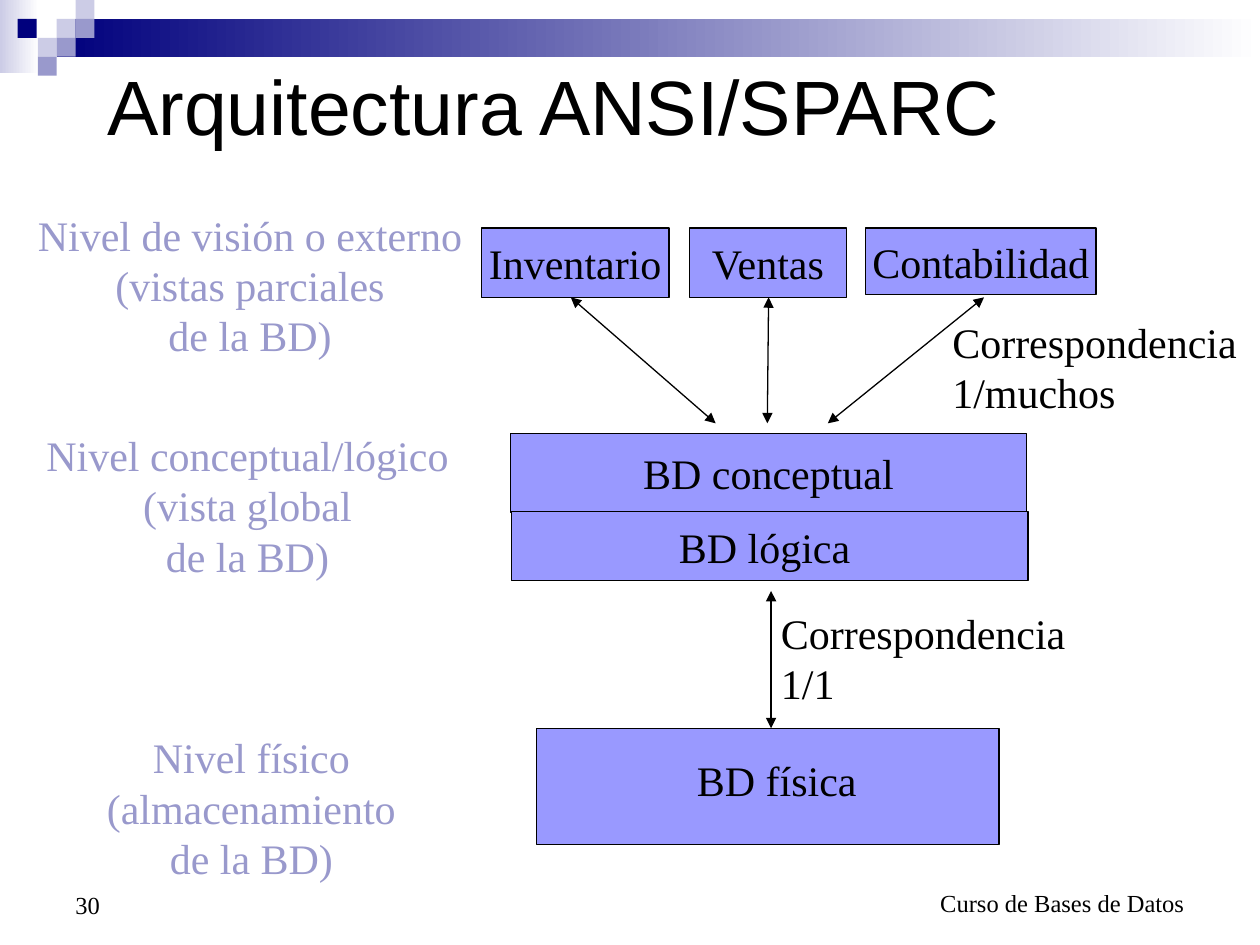
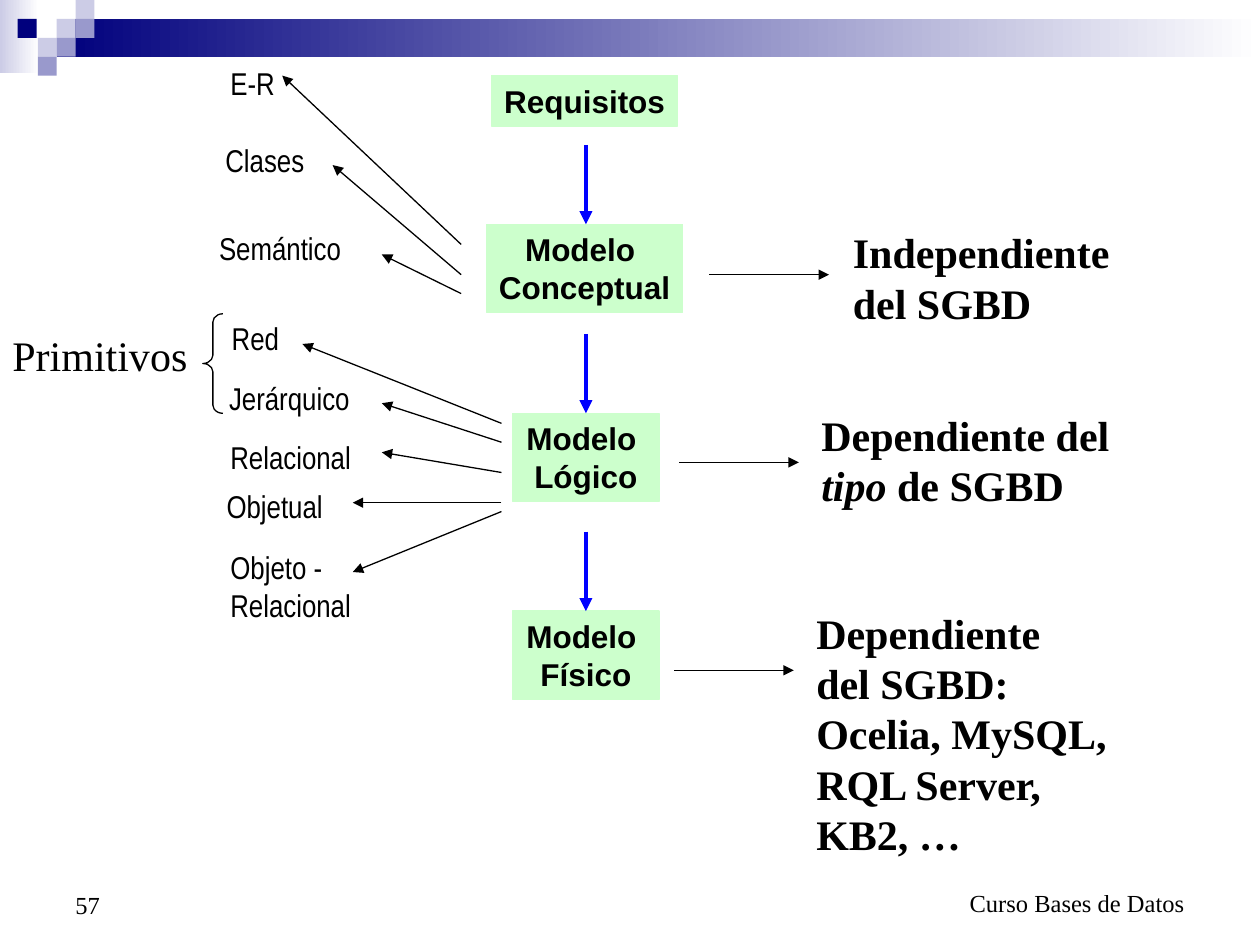
from dataclasses import dataclass
from typing import Optional

from lxml.etree import SubElement
from pptx import Presentation
from pptx.dml.color import RGBColor as Rgb
from pptx.enum.shapes import MSO_CONNECTOR as Link, MSO_SHAPE as Kind
from pptx.enum.text import MSO_ANCHOR as Anchor, MSO_AUTO_SIZE as Fit, PP_ALIGN as Align
from pptx.oxml.ns import qn
from pptx.util import Emu, Pt

SCALE = 9144


@dataclass(frozen=True)
class Theme:
    ink: str = "000000"
    white: str = "FFFFFF"
    navy: str = "00007D"
    lilac: str = "9999CC"
    pale: str = "CCCCE6"
    violet: str = "9999FF"
    mint: str = "CCFFCC"
    blue: str = "0000FF"
    serif: str = "Times New Roman"
    sans: str = "Arial"
    narrow: str = "Arial Narrow"
    title: int = 44
    body: int = 24
    label: int = 18
    foot: int = 14
    thin: float = 0.75
    thick: float = 2.5


T = Theme()


@dataclass(frozen=True)
class Area:
    left: int
    top: int
    width: int
    height: int

    def emu(self) -> list[Emu]:
        return [px(n) for n in (self.left, self.top, self.width, self.height)]


@dataclass(frozen=True)
class Box:
    text: str
    area: Area


@dataclass(frozen=True)
class Arrow:
    x1: int
    y1: int
    x2: int
    y2: int


def px(n: int) -> Emu:
    return Emu(n * SCALE)


def write(frame, text: str, *, size: int = T.body, font: str = T.serif,
          color: str = T.ink, bold: bool = False, align=Align.LEFT,
          anchor=Anchor.TOP, wrap: bool = False, grow: bool = False) -> None:
    frame.word_wrap = wrap
    frame.vertical_anchor = anchor
    frame.auto_size = Fit.SHAPE_TO_FIT_TEXT if grow else Fit.NONE
    for i, line in enumerate(text.split("\n")):
        para = frame.add_paragraph() if i else frame.paragraphs[0]
        para.alignment = align
        for k, part in enumerate(line.split("*")):
            if not part:
                continue
            run = para.add_run()
            run.text = part
            run.font.size = Pt(size)
            run.font.name = font
            run.font.bold = bold
            run.font.italic = k % 2 == 1
            run.font.color.rgb = Rgb.from_string(color)


def label(slide, box: Box, *, grow: bool = True, **style) -> None:
    write(slide.shapes.add_textbox(*box.area.emu()).text_frame, box.text, grow=grow, **style)


def panel(slide, area: Area, fill: str, *, line: Optional[str] = None,
          fade: bool = False, kind=Kind.RECTANGLE):
    shape = slide.shapes.add_shape(kind, *area.emu())
    shape.shadow.inherit = False
    if fade:
        shape.fill.gradient()
        shape.fill.gradient_angle = 0
        for stop, tone, place in zip(shape.fill.gradient_stops, (fill, T.white), (0, 1)):
            stop.color.rgb = Rgb.from_string(tone)
            stop.position = place
    else:
        shape.fill.solid()
        shape.fill.fore_color.rgb = Rgb.from_string(fill)
    if line:
        shape.line.color.rgb = Rgb.from_string(line)
        shape.line.width = Pt(T.thin)
    else:
        shape.line.fill.background()
    return shape


def join(slide, way: Arrow, *, color: str = T.ink, width: float = T.thin,
         both: bool = False) -> None:
    ends = [px(n) for n in (way.x1, way.y1, way.x2, way.y2)]
    wire = slide.shapes.add_connector(Link.STRAIGHT, *ends)
    wire.line.color.rgb = Rgb.from_string(color)
    wire.line.width = Pt(width)
    stroke = wire.line._get_or_add_ln()
    for tag in (["a:headEnd"] if both else []) + ["a:tailEnd"]:
        SubElement(stroke, qn(tag), type="triangle")
    SubElement(wire._element.spPr, qn("a:effectLst"))


def frame(deck, layout: int, course: str, page: str):
    slide = deck.slides.add_slide(deck.slide_layouts[layout])
    panel(slide, Area(0, 0, 31, 58), T.pale, fade=True)
    panel(slide, Area(45, 15, 955, 30), T.navy, fade=True)
    tiles = ((45, 15, T.pale), (60, 0, T.pale), (60, 15, T.lilac), (30, 30, T.pale),
             (14, 15, T.navy), (45, 30, T.lilac), (30, 45, T.lilac))
    for x, y, tone in tiles:
        panel(slide, Area(x, y, 15, 15), tone)
    foot = dict(size=T.foot, anchor=Anchor.BOTTOM, wrap=True, grow=False)
    label(slide, Box(course, Area(717, 683, 233, 50)), align=Align.RIGHT, **foot)
    label(slide, Box(page, Area(50, 683, 233, 52)), **foot)
    return slide


def levels(deck) -> None:
    slide = frame(deck, 5, "Curso de Bases de Datos", "30")
    title = slide.shapes.title
    title.left, title.top, title.width, title.height = Area(75, 21, 850, 125).emu()
    write(title.text_frame, "Arquitectura ANSI/SPARC", size=T.title, font=T.sans,
          anchor=Anchor.MIDDLE, wrap=True)

    stores = (
        Box("Inventario", Area(382, 181, 149, 55)),
        Box("Ventas", Area(547, 181, 125, 55)),
        Box("Contabilidad", Area(687, 181, 183, 53)),
        Box("BD conceptual", Area(405, 344, 410, 63)),
        Box("BD lógica ", Area(406, 406, 410, 55)),
    )
    for box in stores:
        shape = panel(slide, box.area, T.violet, line=T.ink)
        write(shape.text_frame, box.text, align=Align.CENTER, anchor=Anchor.MIDDLE)
    panel(slide, Area(426, 578, 367, 92), T.violet, line=T.ink)
    label(slide, Box("BD física", Area(543, 594, 147, 50)), align=Align.CENTER)

    for way in (Arrow(453, 236, 568, 336), Arrow(610, 236, 609, 336),
                Arrow(781, 236, 657, 336), Arrow(612, 469, 612, 578)):
        join(slide, way, both=True)

    tiers = (
        Box("Nivel de visión o externo\n(vistas parciales\nde la BD)", Area(18, 161, 361, 130)),
        Box("Nivel conceptual/lógico\n(vista global\nde la BD)", Area(25, 336, 343, 130)),
        Box("Nivel físico\n(almacenamiento\nde la BD)", Area(69, 576, 261, 130)),
    )
    for box in tiers:
        label(slide, box, color=T.lilac, align=Align.CENTER)
    for box in (Box("Correspondencia 1/1", Area(610, 477, 260, 90)),
                Box("Correspondencia 1/muchos", Area(746, 246, 260, 90))):
        label(slide, box, wrap=True)


def models(deck) -> None:
    slide = frame(deck, 6, "Curso Bases de Datos", "57")
    steps = (
        Box("Requisitos", Area(390, 60, 148, 40)),
        Box("Modelo \nConceptual", Area(386, 178, 156, 70)),
        Box("Modelo \nLógico", Area(407, 328, 116, 70)),
        Box("Modelo \nFísico", Area(407, 485, 116, 70)),
    )
    for box in steps:
        shape = panel(slide, box.area, T.mint, line=T.mint)
        write(shape.text_frame, box.text, size=T.label, font=T.sans, bold=True,
              align=Align.CENTER, grow=True)
    for box in steps[1:]:
        top = box.area.top
        join(slide, Arrow(465, top - 63, 465, top), color=T.blue, width=T.thick)

    kinds = (
        Box("E-R", Area(173, 46, 90, 40)),
        Box("Clases", Area(169, 107, 94, 40)),
        Box("Semántico", Area(164, 177, 143, 40)),
        Box("Red", Area(174, 248, 65, 40)),
        Box("Jerárquico", Area(172, 296, 140, 40)),
        Box("Relacional", Area(173, 343, 139, 40)),
        Box("Objetual", Area(170, 382, 120, 40)),
        Box("Objeto -\nRelacional", Area(173, 430, 139, 70)),
    )
    for box in kinds:
        label(slide, box, size=T.label, font=T.narrow)
    fans = (
        (366, ((194, 224, 60), (218, 264, 131), (233, 303, 202))),
        (398, ((336, 240, 273), (351, 303, 320), (375, 303, 359),
               (399, 280, 399), (406, 280, 454))),
    )
    for x, rays in fans:
        for y, tipx, tipy in rays:
            join(slide, Arrow(x, y, tipx, tipy))

    brace = panel(slide, Area(161, 249, 16, 79), T.white, line=T.ink, kind=Kind.LEFT_BRACE)
    brace.fill.background()
    brace.adjustments[0] = 0.41
    label(slide, Box("Primitivos", Area(0, 257, 159, 50)))

    notes = (
        (563, 218, Box("Independiente\ndel SGBD", Area(667, 175, 272, 90))),
        (539, 367, Box("Dependiente del *tipo *de SGBD", Area(642, 320, 272, 90))),
        (535, 532, Box("Dependiente\ndel SGBD: Ocelia, MySQL, RQL Server, KB2, …",
                       Area(638, 477, 272, 210))),
    )
    for x, y, box in notes:
        join(slide, Arrow(x, y, x + 95, y))
        label(slide, box, bold=True, wrap=True)


def main() -> None:
    deck = Presentation()
    deck.slide_width, deck.slide_height = px(1000), px(750)
    levels(deck)
    models(deck)
    deck.save("out.pptx")


if __name__ == "__main__":
    main()
